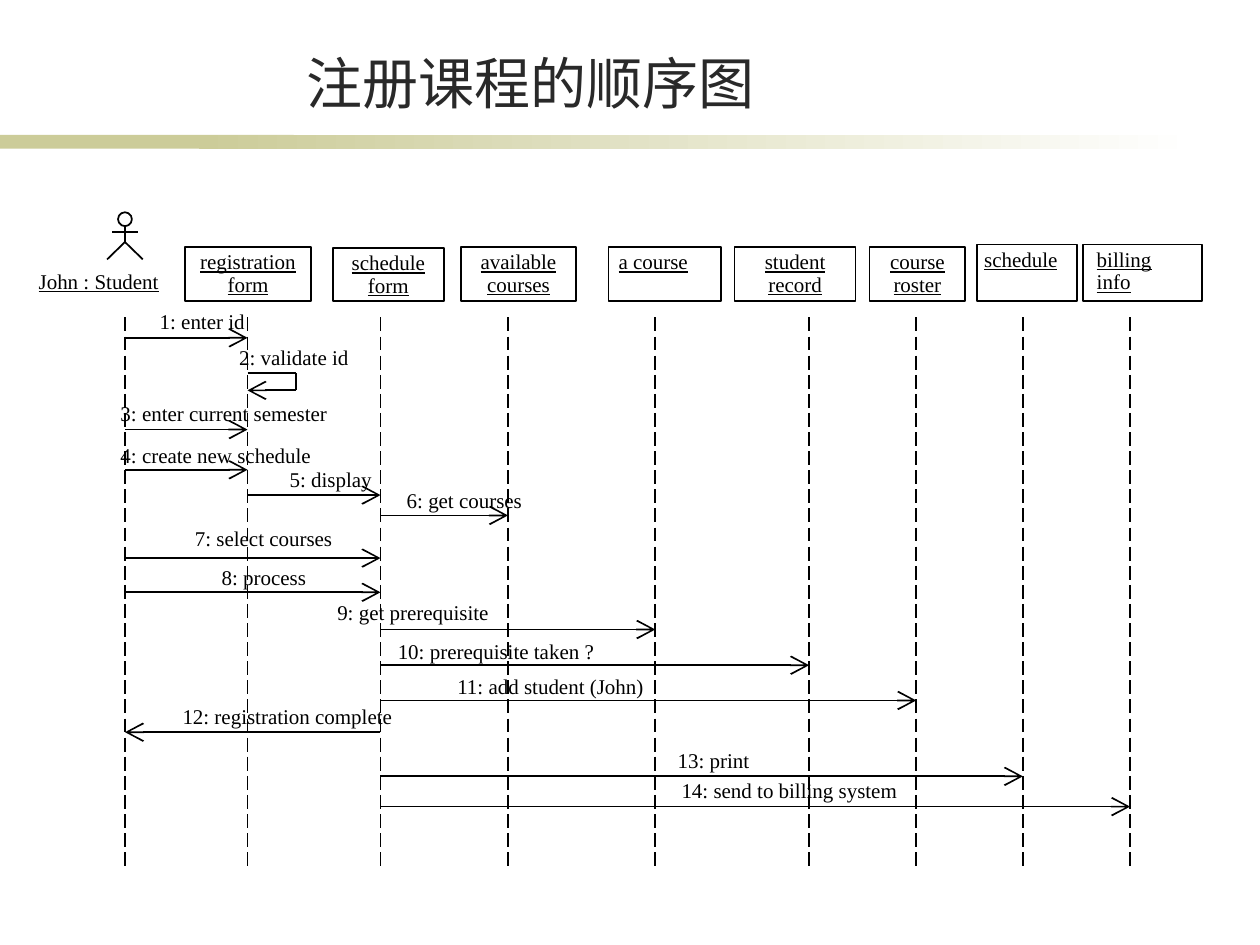
from lxml import etree
from pptx import Presentation, util as u
from pptx.dml.color import RGBColor
from pptx.enum import dml, shapes, text
from pptx.oxml.ns import qn

rgb = RGBColor.from_string
INK = "000000"
OLIVE = "CCCC99"

deck = Presentation()
deck.slide_width, deck.slide_height = u.Cm(25.4), u.Cm(19.05)
page = deck.slides.add_slide(deck.slide_layouts[6])


def draw_line(x1, y1, x2, y2, dash=None, arrow=False):
    line = page.shapes.add_connector(
        shapes.MSO_CONNECTOR.STRAIGHT, u.Cm(x1), u.Cm(y1), u.Cm(x2), u.Cm(y2))
    line.line.color.rgb = rgb(INK)
    line.line.width = u.Pt(1)
    if dash:
        line.line.dash_style = dash
    if arrow:
        etree.SubElement(line.line._get_or_add_ln(), qn("a:tailEnd"),
                         type="arrow", w="lg", len="lg")
    etree.SubElement(line._element.spPr, qn("a:effectLst"))


def write(box, words, align="LEFT", anchor="TOP", margins=(0.25, 0.13),
          size=12, name="Times New Roman", colour=INK, underline=None, spacing=None):
    side, top = (u.Cm(value) for value in margins)
    frame = {"word_wrap": False, "vertical_anchor": text.MSO_ANCHOR[anchor],
             "margin_left": side, "margin_right": side,
             "margin_top": top, "margin_bottom": top}
    for key, value in frame.items():
        setattr(box.text_frame, key, value)
    box.text_frame.text = words
    for para in box.text_frame.paragraphs:
        para.alignment = text.PP_ALIGN[align]
        para.line_spacing = spacing
        for span in para.runs:
            for key, value in {"size": u.Pt(size), "name": name, "underline": underline}.items():
                setattr(span.font, key, value)
            span.font.color.rgb = rgb(colour)


for left, width in ((0, 5.92), (4.01, 20.12)):
    band = page.shapes.add_shape(shapes.MSO_SHAPE.RECTANGLE,
                                 u.Cm(left), u.Cm(2.72), u.Cm(width), u.Cm(0.28))
    band.shadow.inherit = False
    band.line.fill.background()
    if left:
        band.fill.gradient()
        band.fill.gradient_angle = 0
        for stop, colour in zip(band.fill.gradient_stops, (OLIVE, "FFFFFF")):
            stop.color.rgb = rgb(colour)
    else:
        band.fill.solid()
        band.fill.fore_color.rgb = rgb(OLIVE)

title = page.shapes.add_textbox(u.Cm(2.9), u.Cm(0.74), u.Cm(15.6), u.Cm(1.6))
write(title, "注册课程的顺序图", "CENTER", "BOTTOM", (0, 0), 32, "Arial", "292929")

head = page.shapes.add_shape(shapes.MSO_SHAPE.OVAL, u.Cm(2.38), u.Cm(4.28), u.Cm(0.28), u.Cm(0.28))
pen = page.shapes.build_freeform(u.Cm(2.16), u.Cm(5.23))
pen.add_line_segments([(u.Cm(2.52), u.Cm(4.88)), (u.Cm(2.88), u.Cm(5.23))], close=False)
legs = pen.convert_to_shape()
for part in (head, legs):
    part.shadow.inherit = False
    part.fill.background()
    part.line.color.rgb = rgb(INK)
    part.line.width = u.Pt(1)
draw_line(2.52, 4.56, 2.52, 4.88)
draw_line(2.26, 4.68, 2.78, 4.68)
actor = page.shapes.add_textbox(u.Cm(0.53), u.Cm(5.28), u.Cm(3.25), u.Cm(0.76))
write(actor, "John : Student", underline=True)

BOX_BOTTOM = 6.07
participants = [
    ("registration\nform", 3.73, 4.98, 2.54, "CENTER", 0),
    ("schedule\nform", 6.71, 5, 2.24, "CENTER", 0),
    ("available\ncourses", 9.3, 4.98, 2.31, "CENTER", 0),
    ("a course", 12.27, 4.98, 2.26, "LEFT", 0.2),
    ("student\nrecord", 14.81, 4.98, 2.44, "CENTER", 0),
    ("course\nroster", 17.53, 4.98, 1.93, "CENTER", 0),
    ("schedule", 19.69, 4.93, 2.03, "LEFT", 0.15),
    ("billing\ninfo", 21.84, 4.93, 2.39, "LEFT", 0.27),
]
for name, left, top, width, align, inset in participants:
    box = page.shapes.add_shape(shapes.MSO_SHAPE.RECTANGLE, u.Cm(left), u.Cm(top),
                                u.Cm(width), u.Cm(BOX_BOTTOM - top))
    box.shadow.inherit = False
    box.fill.background()
    box.line.color.rgb = rgb(INK)
    box.line.width = u.Pt(1)
    write(box, name, align, margins=(inset, 0.08), underline=True, spacing=u.Pt(13))

lifelines = [2.52, 4.99, 7.67, 10.24, 13.21, 16.31, 18.47, 20.62, 22.78]
for x in lifelines:
    draw_line(x, 6.4, x, 17.55, dash=dml.MSO_LINE.LONG_DASH)

messages = [
    ("1: enter id", 0, 1, 6.81, 2.97, 6.1, 2.39),
    ("2: validate id", 1, 1, 7.52, 4.57, 6.81, 2.87),
    ("3: enter current semester", 0, 1, 8.66, 2.18, 7.95, 5.23),
    ("4: create new schedule", 0, 1, 9.47, 2.18, 8.79, 4.85),
    ("5: display", 1, 2, 9.98, 5.59, 9.27, 2.29),
    ("6: get courses", 2, 3, 10.39, 7.95, 9.7, 3.18),
    ("7: select courses", 0, 2, 11.25, 3.68, 10.46, 3.68),
    ("8: process", 0, 2, 11.94, 4.22, 11.25, 2.46),
    ("9: get prerequisite", 2, 4, 12.69, 6.55, 11.96, 3.89),
    ("10: prerequisite taken ?", 2, 5, 13.41, 7.77, 12.75, 4.93),
    ("11: add student (John)", 2, 6, 14.12, 8.97, 13.44, 4.72),
    ("12: registration complete", 2, 0, 14.76, 3.43, 14.05, 5.13),
    ("13: print", 2, 7, 15.65, 13.41, 14.94, 2.03),
    ("14: send to billing system", 2, 8, 16.26, 13.49, 15.54, 5.26),
]
for words, sender, receiver, y, left, top, width in messages:
    start, end = lifelines[sender], lifelines[receiver]
    if sender == receiver:
        turn, back = start + 0.98, y + 0.35
        draw_line(start, y, turn, y)
        draw_line(turn, y, turn, back)
        draw_line(turn, back, end, back, arrow=True)
    else:
        draw_line(start, y, end, y, arrow=True)
    label = page.shapes.add_textbox(u.Cm(left), u.Cm(top), u.Cm(width), u.Cm(0.76))
    write(label, words)

deck.save("out.pptx")
